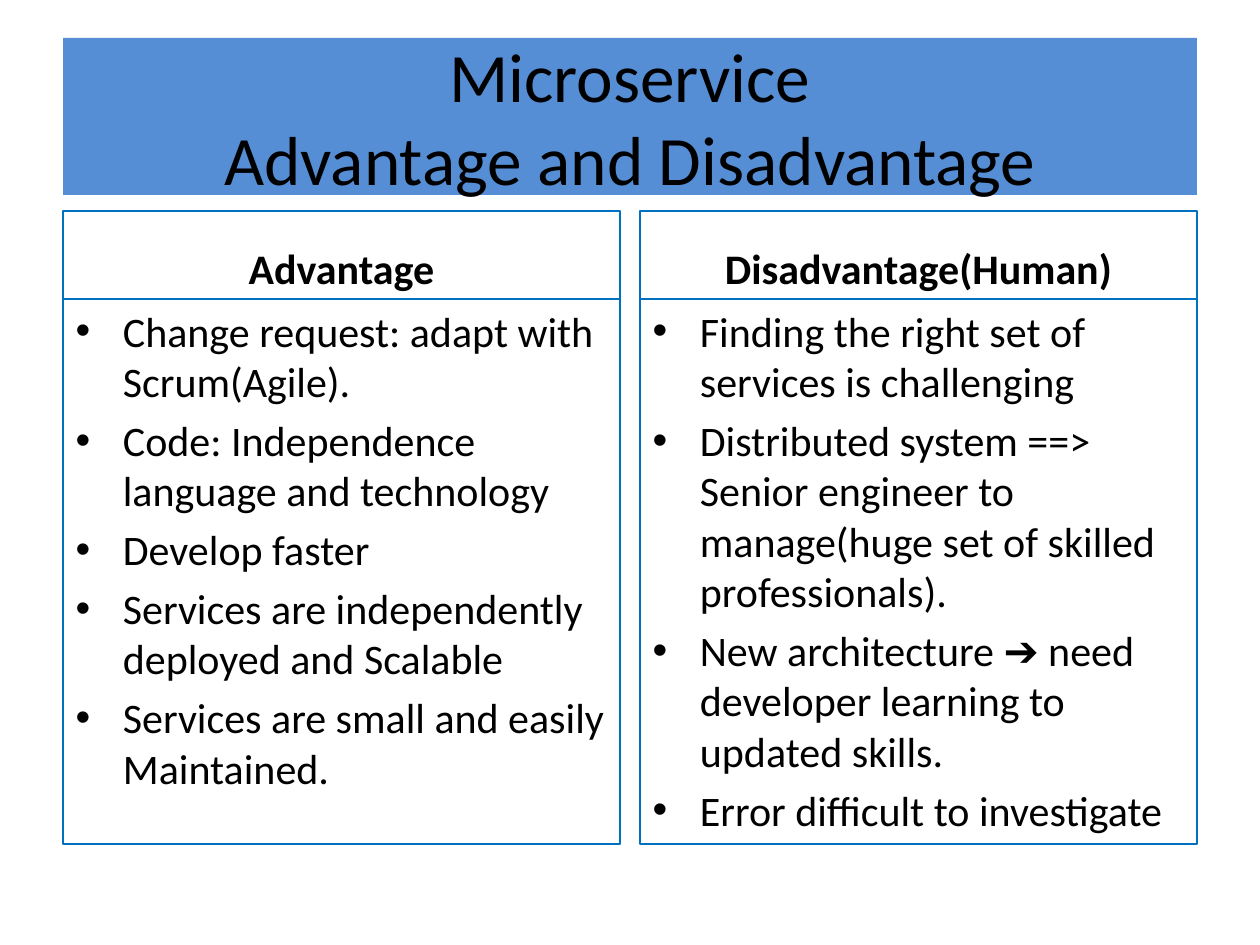
import pptx
import pptx.util
import pptx.dml.color
import pptx.enum.text

COLORS = {"banner": "558ED5", "border": "0070C0", "text": "000000"}
ALIGN = pptx.enum.text.PP_ALIGN
ANCHOR = pptx.enum.text.MSO_ANCHOR


class Deck:
    font = "Calibri"
    scale = 914400 / 126

    def __init__(self):
        self.prs = pptx.Presentation()
        self.prs.slide_width = self.px(1260)
        self.prs.slide_height = self.px(945)
        self.s = self.prs.slides.add_slide(self.prs.slide_layouts[4])

    def px(self, n):
        return pptx.util.Emu(round(n * self.scale))

    def color(self, name):
        return pptx.dml.color.RGBColor.from_string(COLORS[name])

    def place(self, idx, box, anchor):
        sp = self.s.placeholders[idx]
        sp.left, sp.top, sp.width, sp.height = map(self.px, box)
        tf = sp.text_frame
        tf.word_wrap = True
        tf.auto_size = pptx.enum.text.MSO_AUTO_SIZE.NONE
        tf.vertical_anchor = anchor
        return sp

    def border(self, sp):
        sp.line.color.rgb = self.color("border")
        sp.line.width = pptx.util.Pt(0.75)

    def run(self, p, text, size, bold=False):
        r = p.add_run()
        r.text = text
        r.font.name = self.font
        r.font.size = pptx.util.Pt(size)
        r.font.bold = bold
        r.font.color.rgb = self.color("text")

    def title(self, lines, box):
        sp = self.place(0, box, ANCHOR.MIDDLE)
        sp.fill.solid()
        sp.fill.fore_color.rgb = self.color("banner")
        p = sp.text_frame.paragraphs[0]
        p.alignment = ALIGN.CENTER
        for i, line in enumerate(lines):
            if i:
                p.add_line_break()
            self.run(p, line, 39.6)

    def heading(self, idx, text, box):
        sp = self.place(idx, box, ANCHOR.BOTTOM)
        self.border(sp)
        p = sp.text_frame.paragraphs[0]
        p.alignment = ALIGN.CENTER
        self.run(p, text, 24, bold=True)

    def bullets(self, idx, items, box):
        sp = self.place(idx, box, ANCHOR.TOP)
        self.border(sp)
        tf = sp.text_frame
        for i, item in enumerate(items):
            p = tf.add_paragraph() if i else tf.paragraphs[0]
            self.run(p, item, 24)


def main():
    columns = [
        ("Advantage", [
            "Change request: adapt with Scrum(Agile).",
            "Code: Independence language and technology",
            "Develop faster",
            "Services are independently deployed and Scalable",
            "Services are small and easily Maintained.",
        ]),
        ("Disadvantage(Human)", [
            "Finding the right set of services is challenging",
            "Distributed system ==> Senior engineer to manage(huge set of skilled professionals).",
            "New architecture ➔ need developer learning to updated skills.",
            "Error difficult to investigate",
        ]),
    ]
    deck = Deck()
    deck.title(["Microservice", "Advantage and Disadvantage"], (63, 38, 1134, 157))
    for i, (name, items) in enumerate(columns):
        left = 63 + 577 * i
        deck.heading(1 + 2 * i, name, (left, 211, 557, 88))
        deck.bullets(2 + 2 * i, items, (left, 299, 557, 545))
    deck.prs.save("out.pptx")


if __name__ == "__main__":
    main()
